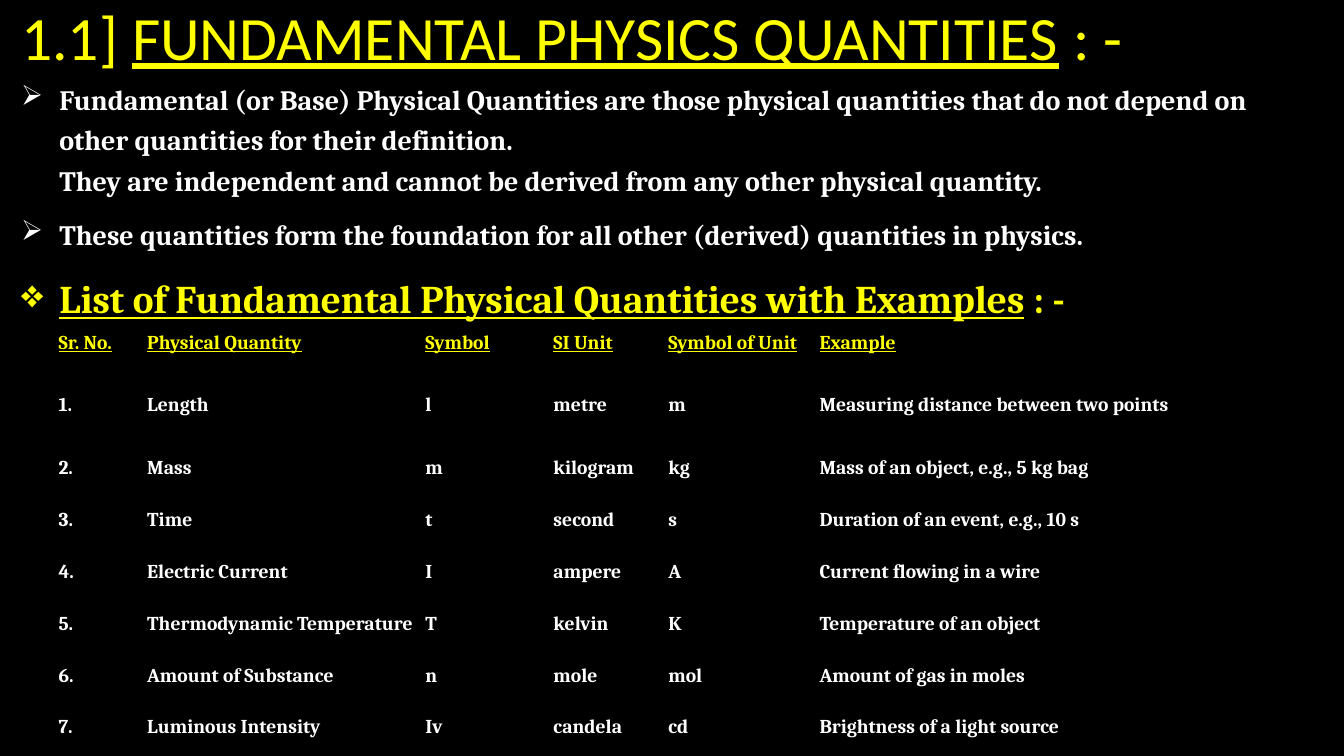
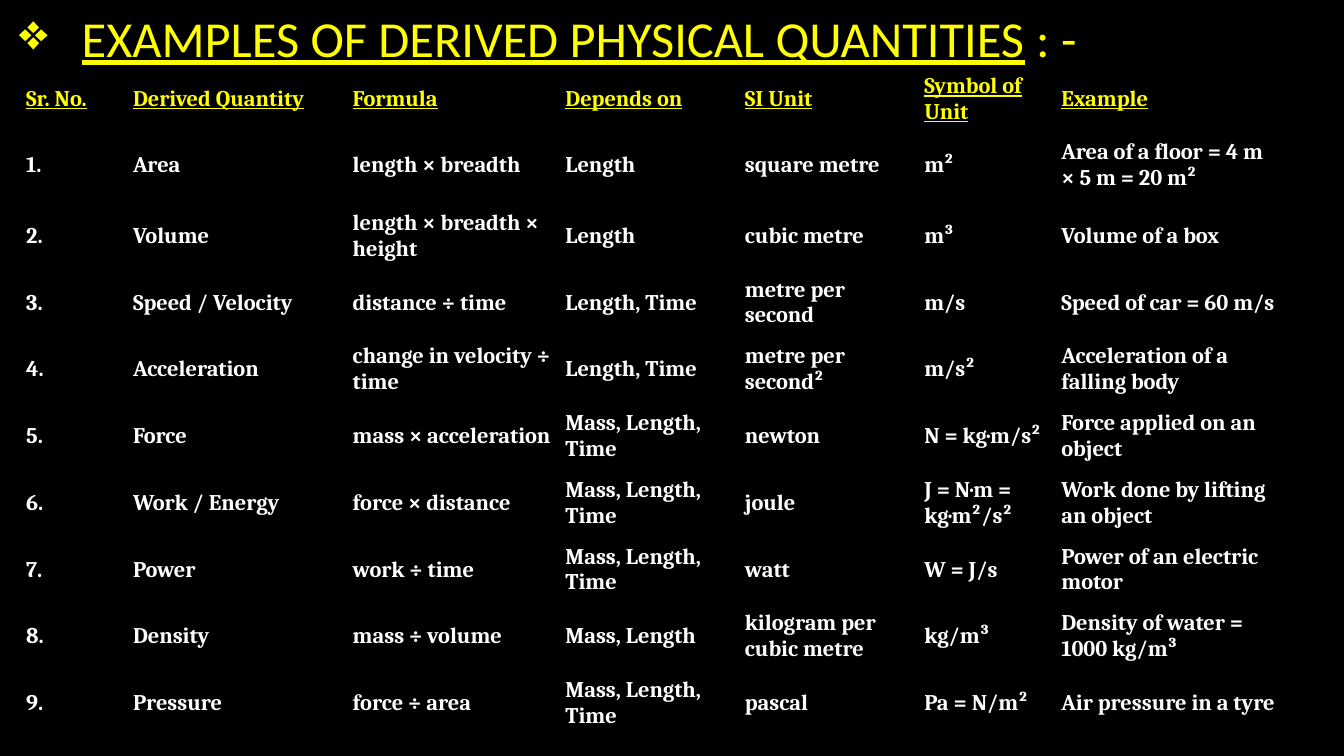
"""Build two slides on fundamental and derived physical quantities."""
from dataclasses import dataclass

from lxml.etree import SubElement
from pptx import Presentation
from pptx.dml.color import RGBColor
from pptx.enum.text import MSO_ANCHOR as Anchor, MSO_AUTO_SIZE as AutoSize, PP_ALIGN as Align
from pptx.oxml.ns import qn
from pptx.util import Inches, Pt

WIDTH, HEIGHT = Inches(13.33), Inches(7.5)
NO_GRID_STYLE = "{2D5ABB26-0587-4C30-8999-92F81FD0307C}"


@dataclass(frozen=True)
class Theme:
    """Colours, fonts and type sizes of the deck."""
    back: RGBColor = RGBColor(0, 0, 0)
    accent: RGBColor = RGBColor(255, 255, 0)
    text: RGBColor = RGBColor(255, 255, 255)
    title_font: str = "Calibri"
    body_font: str = "Cambria"
    title: int = 44
    subtitle: int = 36
    heading: int = 28
    body: int = 20


THEME = Theme()

BASE_ROWS = [
    ("Sr. No.", "Physical Quantity", "Symbol", "SI Unit", "Symbol of Unit", "Example"),
    ("1.", "Length", "l", "metre", "m", "Measuring distance between two points"),
    ("2.", "Mass", "m", "kilogram", "kg", "Mass of an object, e.g., 5 kg bag"),
    ("3.", "Time", "t", "second", "s", "Duration of an event, e.g., 10 s"),
    ("4.", "Electric Current", "I", "ampere", "A", "Current flowing in a wire"),
    ("5.", "Thermodynamic Temperature", "T", "kelvin", "K", "Temperature of an object"),
    ("6.", "Amount of Substance", "n", "mole", "mol", "Amount of gas in moles"),
    ("7.", "Luminous Intensity", "Iv", "candela", "cd", "Brightness of a light source"),
]

DERIVED_ROWS = [
    ("Sr. No.", "Derived Quantity", "Formula", "Depends on", "SI Unit", "Symbol of Unit", "Example"),
    ("1.", "Area", "length × breadth", "Length", "square metre", "m²",
     "Area of a floor = 4 m × 5 m = 20 m²"),
    ("2.", "Volume", "length × breadth × height", "Length", "cubic metre", "m³", "Volume of a box"),
    ("3.", "Speed / Velocity", "distance ÷ time", "Length, Time", "metre per second", "m/s",
     "Speed of car = 60 m/s"),
    ("4.", "Acceleration", "change in velocity ÷ time", "Length, Time", "metre per second²", "m/s²",
     "Acceleration of a falling body"),
    ("5.", "Force", "mass × acceleration", "Mass, Length, Time", "newton", "N = kg·m/s²",
     "Force applied on an object"),
    ("6.", "Work / Energy", "force × distance", "Mass, Length, Time", "joule", "J = N·m = kg·m²/s²",
     "Work done by lifting an object"),
    ("7.", "Power", "work ÷ time", "Mass, Length, Time", "watt", "W = J/s",
     "Power of an electric motor"),
    ("8.", "Density", "mass ÷ volume", "Mass, Length", "kilogram per cubic metre", "kg/m³",
     "Density of water = 1000 kg/m³"),
    ("9.", "Pressure", "force ÷ area", "Mass, Length, Time", "pascal", "Pa = N/m²",
     "Air pressure in a tyre"),
]


def across(share):
    """Turn a percentage of the slide width into a length."""
    return int(WIDTH * share / 100)


def down(share):
    """Turn a percentage of the slide height into a length."""
    return int(HEIGHT * share / 100)


def apply(obj, **values):
    """Set each named attribute of an object."""
    for name, value in values.items():
        setattr(obj, name, value)


def place(sp, x, y, w, h):
    """Put a shape at percentages of the slide size."""
    apply(sp, left=across(x), top=down(y), width=across(w), height=down(h))


def add_run(p, text, color, **fmt):
    """Add a run, with line breaks where the text has them."""
    for i, line in enumerate(text.split("\n")):
        if i:
            p.add_line_break()
        r = p.add_run()
        r.text = line
        apply(r.font, **fmt)
        r.font.color.rgb = color


def add_bullet(p, char, indent):
    """Give a paragraph a hanging bullet."""
    pPr = p._p.get_or_add_pPr()
    pPr.set("marL", str(Inches(indent)))
    pPr.set("indent", str(-Inches(indent)))
    SubElement(pPr, qn("a:buChar")).set("char", char)


def add_underlined(p, text, **fmt):
    """Add an underlined accent heading and its closing dash."""
    add_run(p, text, THEME.accent, underline=True, **fmt)
    add_run(p, " : -", THEME.accent, underline=False, **fmt)


def add_title(slide, box, text, size, number="", bullet=""):
    """Fill and format the title placeholder."""
    sp = slide.shapes.title
    place(sp, *box)
    tf = sp.text_frame
    apply(tf, word_wrap=True, auto_size=AutoSize.NONE, vertical_anchor=Anchor.MIDDLE)
    p = tf.paragraphs[0]
    if bullet:
        add_bullet(p, bullet, 0.62)
    apply(p, alignment=Align.LEFT, line_spacing=0.9)
    fmt = {"name": THEME.title_font, "size": Pt(size)}
    if number:
        add_run(p, number, THEME.accent, **fmt)
    add_underlined(p, text, **fmt)


def add_body(slide, box, points, heading):
    """Add bulleted points followed by a heading for the table."""
    sp = slide.shapes.add_textbox(0, 0, 0, 0)
    place(sp, *box)
    tf = sp.text_frame
    apply(tf, word_wrap=True, vertical_anchor=Anchor.MIDDLE)
    fmt = {"name": THEME.body_font, "bold": True}
    for i, text in enumerate([*points, heading]):
        p = tf.add_paragraph() if i else tf.paragraphs[0]
        add_bullet(p, "➢" if i < len(points) else "❖", 0.38)
        apply(p, line_spacing=1.2, space_before=Pt(10 if i else 0))
        if i < len(points):
            add_run(p, text, THEME.text, size=Pt(THEME.body), **fmt)
        else:
            add_underlined(p, text, size=Pt(THEME.heading), **fmt)


def add_grid(slide, x, y, height, cols, lead_rows, rows, size, inset):
    """Add a plain table whose rows after the leading ones are equal."""
    rest = (height - sum(lead_rows)) / (len(rows) - len(lead_rows))
    heights = [*lead_rows, *[rest] * (len(rows) - len(lead_rows))]
    frame = slide.shapes.add_table(len(rows), len(cols), across(x), down(y),
                                   across(sum(cols)), down(height))
    table = frame.table
    apply(table, first_row=False, horz_banding=False)
    table._tbl.tblPr.find(qn("a:tableStyleId")).text = NO_GRID_STYLE
    for column, share in zip(table.columns, cols):
        column.width = across(share)
    side, edge = Inches(inset), Inches(inset - 0.02)
    for i, (row, share, values) in enumerate(zip(table.rows, heights, rows)):
        row.height = down(share)
        for cell, text in zip(row.cells, values):
            cell.fill.background()
            apply(cell, vertical_anchor=Anchor.MIDDLE, margin_left=side, margin_right=side,
                  margin_top=edge, margin_bottom=edge)
            add_run(cell.text_frame.paragraphs[0], text, THEME.text if i else THEME.accent,
                    name=THEME.body_font, size=Pt(size), bold=True, underline=i == 0)


def build_fundamental(slide):
    """Build the slide on fundamental quantities."""
    add_title(slide, (0.83, -2.27, 99.25, 15.2), "FUNDAMENTAL PHYSICS QUANTITIES",
              THEME.title, number="1.1] ")
    points = [
        "Fundamental (or Base) Physical Quantities are those physical quantities that do not "
        "depend on other quantities for their definition.\n"
        "They are independent and cannot be derived from any other physical quantity.",
        "These quantities form the foundation for all other (derived) quantities in physics.",
    ]
    add_body(slide, (0.83, 3.73, 98.27, 45.07), points,
             "List of Fundamental Physical Quantities with Examples")
    add_grid(slide, 3.98, 42, 57.7, [6.6, 20.7, 9.53, 8.55, 11.25, 31.73], [6.67, 9.87],
             BASE_ROWS, size=14, inset=0.05)


def build_derived(slide):
    """Build the slide on derived quantities."""
    add_title(slide, (0.68, -1.6, 97.22, 14), "EXAMPLES OF DERIVED PHYSICAL QUANTITIES",
              THEME.subtitle, bullet="❖")
    add_grid(slide, 1.65, 9.47, 88, [7.95, 16.35, 15.83, 13.35, 13.35, 10.2, 16.5], [7.33, 10],
             DERIVED_ROWS, size=16, inset=0.04)


def main():
    """Build and save the deck."""
    prs = Presentation()
    apply(prs, slide_width=WIDTH, slide_height=HEIGHT)
    fill = prs.slide_master.background.fill
    fill.solid()
    fill.fore_color.rgb = THEME.back
    for build in (build_fundamental, build_derived):
        build(prs.slides.add_slide(prs.slide_layouts[5]))
    prs.save("out.pptx")


if __name__ == "__main__":
    main()
